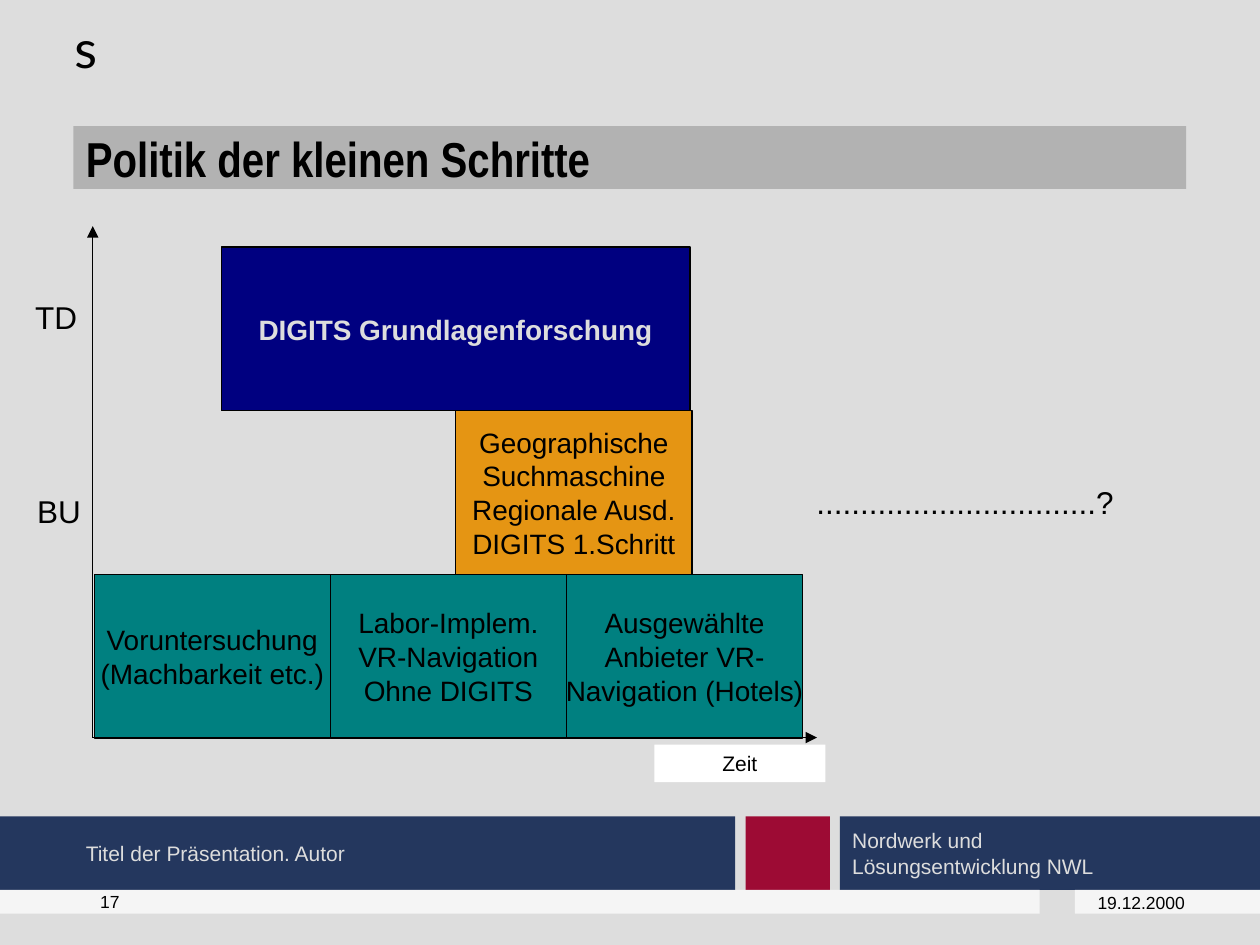
from dataclasses import dataclass
from lxml import etree
from pptx import Presentation
from pptx.dml.color import RGBColor
from pptx.enum import shapes, text
from pptx.oxml import ns
from pptx.util import Cm, Pt


@dataclass(frozen=True)
class Theme:
    background: str = "DDDDDD"
    title_bar: str = "B2B2B2"
    navy: str = "24375E"
    crimson: str = "9D0B34"
    strip: str = "F5F5F5"
    white: str = "FFFFFF"
    black: str = "000000"
    teal: str = "008080"
    orange: str = "E59513"
    blue: str = "000080"
    font: str = "Arial"
    title_font: str = "Arial Narrow"
    logo_font: str = "Lato"
    title_size: int = 28
    logo_size: int = 30
    label_size: int = 18
    box_size: int = 16
    footer_size: int = 12
    small_size: int = 10


theme = Theme()
LEFT, CENTER = text.PP_ALIGN.LEFT, text.PP_ALIGN.CENTER
TOP, MIDDLE = text.MSO_ANCHOR.TOP, text.MSO_ANCHOR.MIDDLE

presentation = Presentation()
presentation.slide_width, presentation.slide_height = Cm(25.4), Cm(19.05)
slide = presentation.slides.add_slide(presentation.slide_layouts[5])
slide.background.fill.solid()
slide.background.fill.fore_color.rgb = RGBColor.from_string(theme.background)


def add_block(left, top, width, height, fill, line=False, kind=shapes.MSO_SHAPE.RECTANGLE):
    shape = slide.shapes.add_shape(kind, Cm(left), Cm(top), Cm(width), Cm(height))
    shape.shadow.inherit = False
    shape.fill.solid()
    shape.fill.fore_color.rgb = RGBColor.from_string(fill)
    if line:
        shape.line.color.rgb = RGBColor.from_string(theme.black)
        shape.line.width = Pt(0.75)
    else:
        shape.line.fill.background()
    return shape


def write(shape, lines, size, color=theme.black, align=LEFT, anchor=MIDDLE,
          wrap=True, bold=False, font=theme.font, margins=(0.25, 0.13)):
    frame = shape.text_frame
    frame.auto_size = text.MSO_AUTO_SIZE.NONE
    frame.word_wrap = wrap
    frame.vertical_anchor = anchor
    frame.margin_left = frame.margin_right = Cm(margins[0])
    frame.margin_top = frame.margin_bottom = Cm(margins[1])
    frame.text = lines
    for paragraph in frame.paragraphs:
        paragraph.alignment = align
        paragraph.font.name = font
        paragraph.font.size = Pt(size)
        paragraph.font.bold = bold
        paragraph.font.color.rgb = RGBColor.from_string(color)


title = slide.shapes.title
title.left, title.top, title.width, title.height = Cm(1.48), Cm(2.54), Cm(22.43), Cm(1.27)
title.fill.solid()
title.fill.fore_color.rgb = RGBColor.from_string(theme.title_bar)
write(title, "Politik der kleinen Schritte", theme.title_size, bold=True,
      font=theme.title_font, margins=(0.25, 0))

footer_top, footer_height = 16.46, 1.48
strip_top, strip_height = 17.94, 0.48
add_block(15.03, footer_top, 1.7, footer_height, theme.crimson)
add_block(0, footer_top, 14.82, footer_height, theme.navy)
department = add_block(16.93, footer_top, 8.47, footer_height, theme.navy)
write(department, "Nordwerk und\nLösungsentwicklung NWL", theme.footer_size, theme.background)
add_block(0, strip_top, 20.96, strip_height, theme.strip)
add_block(21.67, strip_top, 3.73, strip_height, theme.strip)

origin_x, origin_y = 1.87, 14.87
for end_x, end_y in ((16.24, origin_y), (origin_x, 4.78)):
    axis = slide.shapes.add_connector(shapes.MSO_CONNECTOR.STRAIGHT,
                                      Cm(origin_x), Cm(origin_y), Cm(end_x), Cm(end_y))
    axis.line.color.rgb = RGBColor.from_string(theme.black)
    axis.line.width = Pt(0.37)
    etree.SubElement(axis._element.spPr, ns.qn("a:effectLst"))

head = 0.23
for left, top, rotation in ((16.24, origin_y - head / 2, 90), (origin_x - head / 2, 4.56, 0)):
    arrowhead = add_block(left, top, head, head, theme.black,
                          kind=shapes.MSO_SHAPE.ISOSCELES_TRIANGLE)
    arrowhead.rotation = rotation

time_label = add_block(13.19, 15.01, 3.45, 0.76, theme.white)
write(time_label, "Zeit", theme.footer_size, align=CENTER)

box_width, row_height, base_top = 4.76, 3.3, 11.58
steps = [
    "Voruntersuchung\n(Machbarkeit etc.)",
    "Labor-Implem.\nVR-Navigation\nOhne DIGITS",
    "Ausgewählte\nAnbieter VR-\nNavigation (Hotels)",
]
for column, step in enumerate(steps):
    box = add_block(1.9 + column * box_width, base_top, box_width, row_height, theme.teal, line=True)
    write(box, step, theme.box_size, align=CENTER, wrap=False)

search = add_block(9.19, base_top - row_height, box_width, row_height, theme.orange, line=True)
write(search, "Geographische\nSuchmaschine\nRegionale Ausd.\nDIGITS 1.Schritt",
      theme.box_size, align=CENTER, wrap=False)
research = add_block(4.46, base_top - 2 * row_height, 9.45, row_height, theme.blue, line=True)
write(research, "DIGITS Grundlagenforschung", theme.box_size, theme.background,
      align=CENTER, wrap=False, bold=True)

labels = [
    (16.21, 9.6, 6.5, 1.02, "." * 32 + "?", theme.label_size, theme.black, LEFT, TOP),
    (0.5, 9.78, 1.37, 1.02, "BU", theme.label_size, theme.black, LEFT, TOP),
    (0.46, 5.87, 1.35, 1.02, "TD", theme.label_size, theme.black, LEFT, TOP),
    (1.48, footer_top, 13.34, footer_height, "Titel der Präsentation. Autor",
     theme.footer_size, theme.background, LEFT, MIDDLE),
    (1.77, strip_top, 1.48, strip_height, "17", theme.small_size, theme.black, LEFT, MIDDLE),
    (21.67, 17.98, 2.67, 0.44, "19.12.2000", theme.small_size, theme.black, CENTER, MIDDLE),
]
for left, top, width, height, words, size, color, align, anchor in labels:
    label = slide.shapes.add_textbox(Cm(left), Cm(top), Cm(width), Cm(height))
    write(label, words, size, color, align, anchor, wrap=anchor == MIDDLE)

mark = slide.shapes.add_textbox(Cm(1.25), Cm(0.2), Cm(3.6), Cm(1.52))
write(mark, "s", theme.logo_size, anchor=TOP, font=theme.logo_font)
mark.text_frame.paragraphs[0].space_before = Pt(18.7)

presentation.save("out.pptx")
